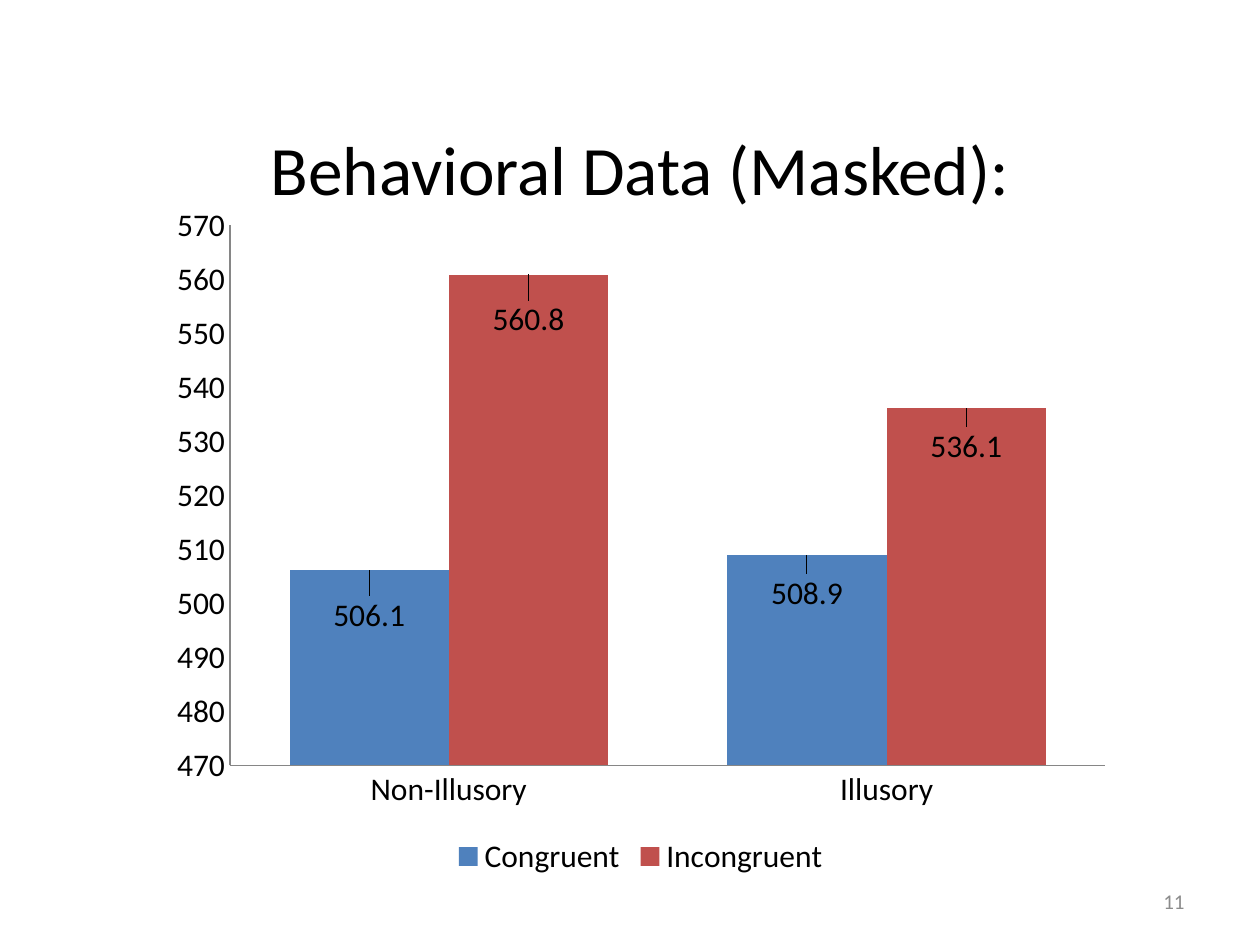
from dataclasses import dataclass

from lxml import etree
from pptx import Presentation
from pptx import util as u
from pptx.chart.data import CategoryChartData
from pptx.dml.color import RGBColor
from pptx.enum import chart as kinds
from pptx.enum import text
from pptx.oxml import parse_xml
from pptx.oxml.ns import nsdecls, qn


@dataclass(frozen=True)
class Theme:
    font: str = "Calibri"
    ink: str = "000000"
    muted: str = "8C8C8C"
    axis: str = "868686"
    title_size: float = 39.6
    chart_size: float = 18
    number_size: float = 12


@dataclass(frozen=True)
class Condition:
    name: str
    color: str
    times: tuple[float, ...]


THEME = Theme()
STIMULI = ("Non-Illusory", "Illusory")
CONDITIONS = (
    Condition("Congruent", "4F81BD", (506.1, 508.9)),
    Condition("Incongruent", "C0504D", (560.8, 536.1)),
)
LABEL_DROPS = (0.03, 0.02)  # share of chart height, one per stimulus


def set_all(target, values: dict) -> None:
    for name, value in values.items():
        setattr(target, name, value)


def set_font(font, size: float, color: str) -> None:
    set_all(font, {"name": THEME.font, "size": u.Pt(size)})
    font.color.rgb = RGBColor.from_string(color)


def place(shape, left: float, top: float, width: float, height: float) -> None:
    lengths = {"left": left, "top": top, "width": width, "height": height}
    set_all(shape, {name: u.Inches(value) for name, value in lengths.items()})


def write(shape, words: str, size: float, color: str, align) -> None:
    frame = shape.text_frame
    set_all(frame, {"word_wrap": True, "auto_size": text.MSO_AUTO_SIZE.NONE,
                    "vertical_anchor": text.MSO_ANCHOR.MIDDLE})
    para = frame.paragraphs[0]
    para.alignment = align
    span = para.add_run()
    span.text = words
    set_font(span.font, size, color)


def manual_layout(**values):
    """Return a c:layout element holding the given manual layout values."""
    layout = parse_xml(f"<c:layout {nsdecls('c')}><c:manualLayout/></c:layout>")
    for name, value in values.items():
        etree.SubElement(layout[0], qn(f"c:{name}")).set("val", str(value))
    return layout


def style_axis(axis) -> None:
    set_all(axis, {"has_major_gridlines": False,
                   "major_tick_mark": kinds.XL_TICK_MARK.NONE,
                   "minor_tick_mark": kinds.XL_TICK_MARK.NONE})
    axis.format.line.color.rgb = RGBColor.from_string(THEME.axis)
    axis.format.line.width = u.Pt(0.75)


def style_series(series, condition: Condition) -> None:
    series.format.fill.solid()
    series.format.fill.fore_color.rgb = RGBColor.from_string(condition.color)
    for index in range(len(STIMULI)):
        label = series.points[index].data_label
        set_font(label.font, THEME.chart_size, THEME.ink)
        label.position = kinds.XL_LABEL_POSITION.INSIDE_END
    marks = series._element.xpath("c:dLbls/c:dLbl/c:idx")
    for mark, drop in zip(marks, LABEL_DROPS):
        mark.addnext(manual_layout(x=0, y=drop))
    series.data_labels.show_value = True


def add_response_chart(page) -> None:
    data = CategoryChartData(number_format="0.0")
    data.categories = STIMULI
    for condition in CONDITIONS:
        data.add_series(condition.name, condition.times)
    bounds = [u.Inches(value) for value in (1.25, 1.53, 7.67, 5.47)]
    chart = page.shapes.add_chart(
        kinds.XL_CHART_TYPE.COLUMN_CLUSTERED, *bounds, data).chart
    set_font(chart.font, THEME.chart_size, THEME.ink)
    set_all(chart, {"has_title": False, "has_legend": True})
    set_all(chart.legend, {"position": kinds.XL_LEGEND_POSITION.BOTTOM,
                           "include_in_layout": False})

    for axis in (chart.category_axis, chart.value_axis):
        style_axis(axis)
    set_all(chart.value_axis, {"minimum_scale": 470, "maximum_scale": 570,
                               "major_unit": 10})
    labels = chart.value_axis.tick_labels
    set_all(labels, {"number_format": "0", "number_format_is_linked": False})

    plot = chart.plots[0]
    set_all(plot, {"gap_width": 75, "overlap": 0, "vary_by_categories": False})
    for series, condition in zip(plot.series, CONDITIONS):
        style_series(series, condition)

    area = chart._chartSpace.xpath("c:chart/c:plotArea")[0]
    for old in area.findall(qn("c:layout")):
        area.remove(old)
    area.insert(0, manual_layout(layoutTarget="inner", xMode="edge", yMode="edge",
                                 x=0.075, y=0.047, w=0.906, h=0.784))


def main() -> None:
    deck = Presentation()
    set_all(deck, {"slide_width": u.Inches(10), "slide_height": u.Inches(7.5)})
    page = deck.slides.add_slide(deck.slide_layouts.get_by_name("Title Only"))

    title = page.shapes.title
    place(title, 0.58, 1.08, 9, 0.5)
    write(title, "Behavioral Data (Masked):", THEME.title_size, THEME.ink,
          text.PP_ALIGN.CENTER)

    add_response_chart(page)

    number = page.shapes.add_textbox(0, 0, 0, 0)
    place(number, 7.17, 6.95, 2.33, 0.4)
    write(number, "11", THEME.number_size, THEME.muted, text.PP_ALIGN.RIGHT)

    deck.save("out.pptx")


if __name__ == "__main__":
    main()
